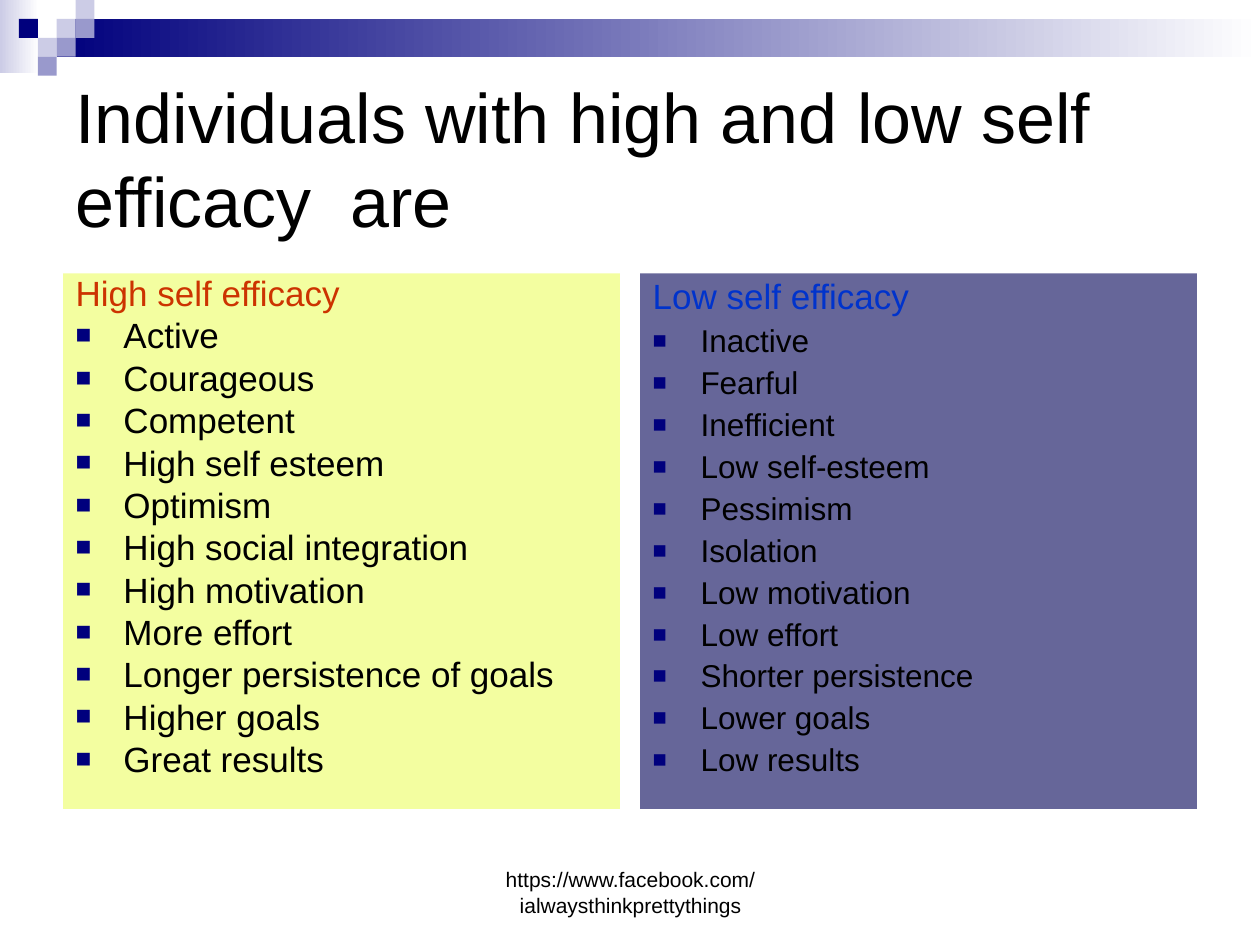
from dataclasses import dataclass
from lxml.etree import SubElement
from pptx import Presentation
from pptx.dml.color import RGBColor
from pptx.enum.shapes import MSO_SHAPE
from pptx.enum.text import MSO_ANCHOR, MSO_AUTO_SIZE, PP_ALIGN
from pptx.oxml.ns import qn
from pptx.util import Inches, Pt


@dataclass(frozen=True)
class Theme:
    font: str = "Arial"
    black: str = "000000"
    white: str = "FFFFFF"
    navy: str = "00007D"
    pale: str = "CCCCE6"
    lilac: str = "9999CC"
    lemon: str = "F3FEA0"
    slate: str = "666699"
    red: str = "CC3300"
    blue: str = "0033CC"
    title: float = 40
    head: float = 20
    small: float = 18
    foot: float = 12


class Deck:
    def __init__(self, theme):
        self.theme = theme
        self.file = Presentation()
        self.file.slide_width = Inches(10)
        self.file.slide_height = Inches(7.5)
        self.slide = self.file.slides.add_slide(self.file.slide_layouts[3])

    def rect(self, box, color, fade=None):
        shape = self.slide.shapes.add_shape(
            MSO_SHAPE.RECTANGLE, *map(Inches, box))
        shape.shadow.inherit = False
        shape.line.fill.background()
        if fade:
            shape.fill.gradient()
            shape.fill.gradient_angle = 0
            for stop, tint in zip(shape.fill.gradient_stops, (color, fade)):
                stop.color.rgb = RGBColor.from_string(tint)
        else:
            shape.fill.solid()
            shape.fill.fore_color.rgb = RGBColor.from_string(color)

    def place(self, index, box):
        shape = self.slide.placeholders[index]
        shape.left, shape.top, shape.width, shape.height = map(Inches, box)
        self.slide.shapes._spTree.append(shape._element)
        shape.text_frame.auto_size = MSO_AUTO_SIZE.NONE
        return shape

    def run(self, para, text, size, color):
        run = para.add_run()
        run.text = text
        run.font.name = self.theme.font
        run.font.size = Pt(size)
        run.font.color.rgb = RGBColor.from_string(color)

    def title(self, box, text):
        frame = self.place(0, box).text_frame
        frame.vertical_anchor = MSO_ANCHOR.MIDDLE
        para = frame.paragraphs[0]
        para.alignment = PP_ALIGN.LEFT
        self.run(para, text, self.theme.title, self.theme.black)

    def bullet(self, para, mark):
        props = para._p.get_or_add_pPr()
        props.set("marL", str(Inches(0.38)))
        props.set("indent", str(-Inches(0.38)))
        if not mark:
            SubElement(props, qn("a:buNone"))
            return
        tint = SubElement(props, qn("a:buClr"))
        SubElement(tint, qn("a:srgbClr"), val=self.theme.navy)
        SubElement(props, qn("a:buSzPct"), val="75000")
        SubElement(props, qn("a:buFont"), typeface=self.theme.font)
        SubElement(props, qn("a:buChar"), char=mark)

    def panel(self, index, box, fill, head, color, items, size, pitch):
        shape = self.place(index, box)
        shape.fill.solid()
        shape.fill.fore_color.rgb = RGBColor.from_string(fill)
        frame = shape.text_frame
        first = frame.paragraphs[0]
        self.bullet(first, None)
        first.line_spacing = pitch
        first.space_before = Pt(0)
        self.run(first, head, self.theme.head, color)
        for item in items:
            para = frame.add_paragraph()
            self.bullet(para, "■")
            para.line_spacing = pitch
            para.space_before = Pt(size / 4)
            self.run(para, item, size, self.theme.black)

    def label(self, box, text):
        frame = self.slide.shapes.add_textbox(*map(Inches, box)).text_frame
        frame.word_wrap = True
        frame.vertical_anchor = MSO_ANCHOR.BOTTOM
        para = frame.paragraphs[0]
        para.alignment = PP_ALIGN.CENTER
        self.run(para, text, self.theme.foot, self.theme.black)


def main():
    theme = Theme()
    deck = Deck(theme)
    deck.rect((0, 0, 0.31, 0.58), theme.pale, theme.white)
    deck.rect((0.45, 0.15, 9.55, 0.3), theme.navy, theme.white)
    tile = 0.15
    for col, row, color in (
        (3, 1, theme.pale), (4, 0, theme.pale), (4, 1, theme.lilac),
        (2, 2, theme.pale), (1, 1, theme.navy), (3, 2, theme.lilac),
        (2, 3, theme.lilac),
    ):
        deck.rect((col * tile, row * tile, tile, tile), color)

    deck.title((0.5, 0.5, 9, 1.5),
               "Individuals with high and low self efficacy  are")
    high = ("Active", "Courageous", "Competent", "High self esteem",
            "Optimism", "High social integration", "High motivation",
            "More effort", "Longer persistence of goals", "Higher goals",
            "Great results")
    low = ("Inactive", "Fearful", "Inefficient", "Low self-esteem",
           "Pessimism", "Isolation", "Low motivation", "Low effort",
           "Shorter persistence", "Lower goals", "Low results")
    deck.panel(1, (0.5, 2.17, 4.42, 4.25), theme.lemon,
               "High self efficacy", theme.red, high, theme.head, 0.8)
    deck.panel(2, (5.08, 2.17, 4.42, 4.25), theme.slate,
               "Low self efficacy", theme.blue, low, theme.small, 0.9)
    deck.label((3.42, 6.83, 3.17, 0.5),
               "https://www.facebook.com/ialwaysthinkprettythings")
    deck.file.save("out.pptx")


if __name__ == "__main__":
    main()
